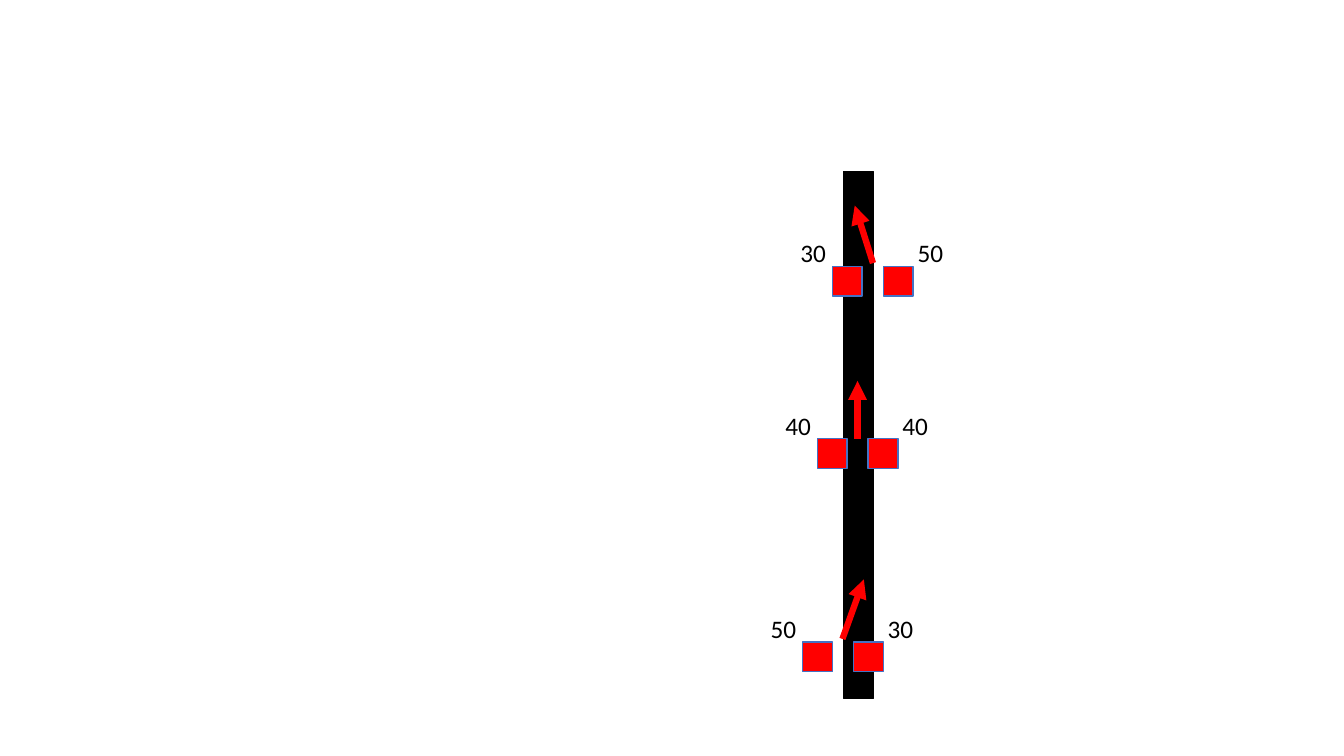
from dataclasses import dataclass

from lxml import etree
from pptx import Presentation
from pptx.dml.color import RGBColor
from pptx.enum.shapes import MSO_CONNECTOR, MSO_SHAPE
from pptx.enum.text import MSO_ANCHOR, PP_ALIGN
from pptx.oxml.ns import qn
from pptx.shapes.shapetree import GroupShapes, SlideShapes
from pptx.util import Cm, Pt

RECTANGLE = MSO_SHAPE.RECTANGLE
STRAIGHT = MSO_CONNECTOR.STRAIGHT
MIDDLE = MSO_ANCHOR.MIDDLE
CENTER = PP_ALIGN.CENTER

COLORS = {"black": "000000", "red": "FF0000", "blue": "4472C4"}
FONT = "Calibri"

# Lengths in centimetres
SENSOR_SIZE = 0.75
SENSOR_STEP = 1.28
LABEL_WIDTH, LABEL_HEIGHT = 1.63, 1.78
LABEL_RISE = 1.23
LEFT_LABEL_SHIFT, RIGHT_LABEL_SHIFT = -1.3, 1.65


@dataclass
class Reading:
    """A sensor pair: its corner, its two values and the arrow showing the heading."""
    left: float
    top: float
    left_value: str
    right_value: str
    arrow_start: tuple[float, float]
    arrow_end: tuple[float, float]


READINGS = [
    Reading(20.98, 6.71, "30", "50", (22, 6.63), (21.54, 5.18)),
    Reading(20.6, 11.05, "40", "40", (21.61, 11.05), (21.61, 9.6)),
    Reading(20.23, 16.18, "50", "30", (21.23, 16.1), (21.77, 14.6)),
]


def color(name: str) -> RGBColor:
    return RGBColor.from_string(COLORS[name])


def add_box(shapes: SlideShapes | GroupShapes, left: float, top: float,
            width: float, height: float, fill: str, line: str) -> None:
    box = shapes.add_shape(RECTANGLE, Cm(left), Cm(top), Cm(width), Cm(height))
    box.shadow.inherit = False
    box.fill.solid()
    box.fill.fore_color.rgb = color(fill)
    box.line.color.rgb = color(line)
    box.line.width = Pt(1)


def add_label(shapes: SlideShapes, left: float, top: float, value: str) -> None:
    label = shapes.add_textbox(Cm(left), Cm(top), Cm(LABEL_WIDTH), Cm(LABEL_HEIGHT))
    frame = label.text_frame
    frame.word_wrap = True
    frame.vertical_anchor = MIDDLE
    paragraph = frame.paragraphs[0]
    paragraph.alignment = CENTER
    run = paragraph.add_run()
    run.text = value
    run.font.name = FONT
    run.font.size = Pt(18)
    run.font.color.rgb = color("black")


def add_arrow(shapes: SlideShapes, start: tuple[float, float],
              end: tuple[float, float]) -> None:
    arrow = shapes.add_connector(STRAIGHT, *map(Cm, start), *map(Cm, end))
    arrow.line.color.rgb = color("red")
    arrow.line.width = Pt(4.5)
    etree.SubElement(arrow.line._get_or_add_ln(), qn("a:tailEnd"), type="triangle")
    etree.SubElement(arrow._element.spPr, qn("a:effectLst"))


def add_reading(shapes: SlideShapes, reading: Reading) -> None:
    sensors = shapes.add_group_shape()
    for index in range(2):
        add_box(sensors.shapes, reading.left + index * SENSOR_STEP, reading.top,
                SENSOR_SIZE, SENSOR_SIZE, "red", "blue")
    label_top = reading.top - LABEL_RISE
    add_label(shapes, reading.left + RIGHT_LABEL_SHIFT, label_top, reading.right_value)
    add_label(shapes, reading.left + LEFT_LABEL_SHIFT, label_top, reading.left_value)
    add_arrow(shapes, reading.arrow_start, reading.arrow_end)


def main() -> None:
    presentation = Presentation()
    presentation.slide_width = Cm(33.87)
    presentation.slide_height = Cm(19.05)
    slide = presentation.slides.add_slide(presentation.slide_layouts[6])
    add_box(slide.shapes, 21.26, 4.32, 0.75, 13.28, "black", "black")
    for reading in READINGS:
        add_reading(slide.shapes, reading)
    presentation.save("out.pptx")


if __name__ == "__main__":
    main()
